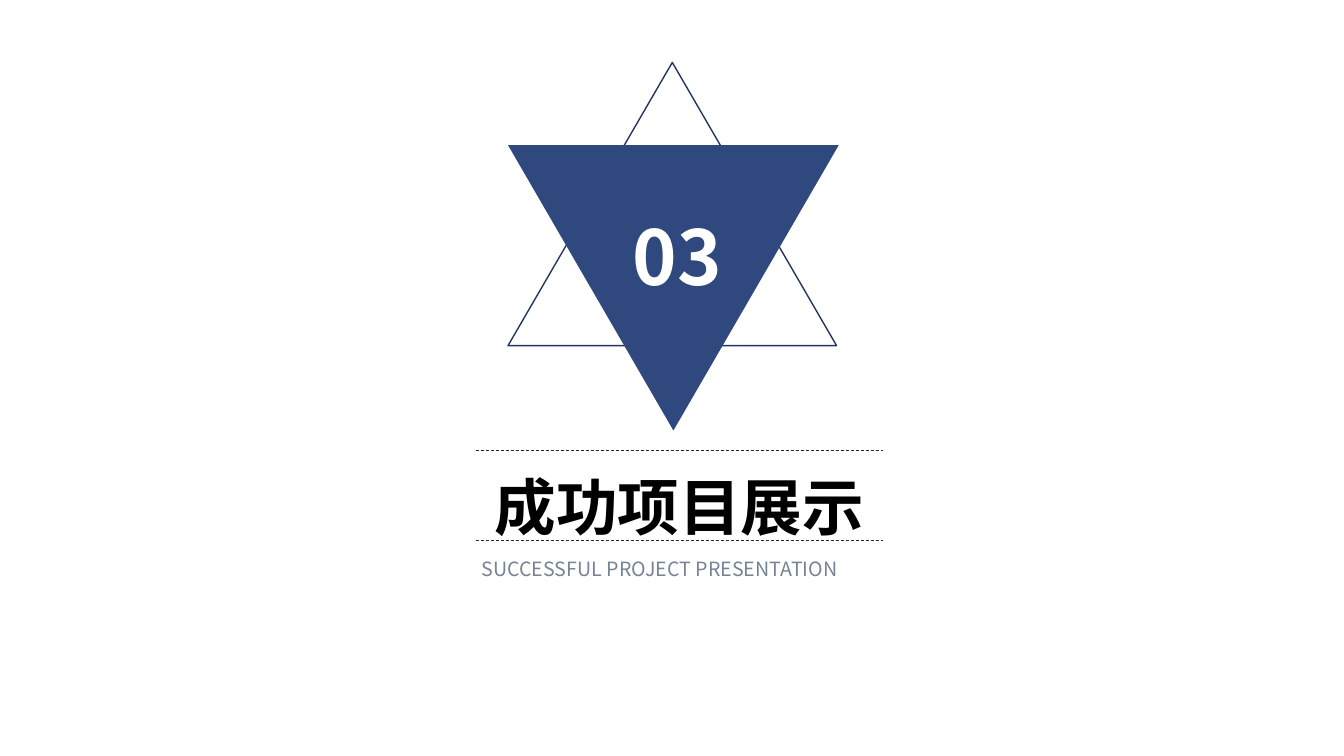
from lxml.etree import SubElement
from pptx import Presentation
from pptx.dml.color import RGBColor
from pptx.enum.dml import MSO_LINE
from pptx.enum.shapes import MSO_CONNECTOR, MSO_SHAPE
from pptx.enum.text import MSO_ANCHOR as Anchor, PP_ALIGN as Align
from pptx.oxml.ns import qn
from pptx.util import Pt


def color(hex_string):
    return RGBColor.from_string(hex_string)


class SectionSlide:
    font = "Noto Sans CJK SC"
    navy = "2F497E"
    outline = "23365D"
    rule = "262626"

    def __init__(self, slide):
        self.slide = slide

    def dashed_rule(self, left, right, y):
        connector = self.slide.shapes.add_connector(
            MSO_CONNECTOR.STRAIGHT, Pt(left), Pt(y), Pt(right), Pt(y))
        connector.line.color.rgb = color(self.rule)
        connector.line.width = Pt(0.5)
        connector.line.dash_style = MSO_LINE.DASH
        SubElement(connector.element.spPr, qn("a:effectLst"))

    def triangle(self, left, top, width, height, fill=None, line=None, rotation=0):
        shape = self.slide.shapes.add_shape(
            MSO_SHAPE.ISOSCELES_TRIANGLE, Pt(left), Pt(top), Pt(width), Pt(height))
        shape.shadow.inherit = False
        shape.rotation = rotation
        if fill:
            shape.fill.solid()
            shape.fill.fore_color.rgb = color(fill)
        else:
            shape.fill.background()
        if line:
            shape.line.color.rgb = color(line)
            shape.line.width = Pt(1)
        else:
            shape.line.fill.background()

    def text(self, content, left, top, width, height, *, size, fill, bold=False,
             align=Align.LEFT, anchor=Anchor.TOP, spacing=1.0):
        box = self.slide.shapes.add_textbox(Pt(left), Pt(top), Pt(width), Pt(height))
        frame = box.text_frame
        frame.word_wrap = True
        frame.vertical_anchor = anchor
        paragraph = frame.paragraphs[0]
        paragraph.alignment = align
        paragraph.line_spacing = spacing
        run = paragraph.add_run()
        run.text = content
        run.font.size = Pt(size)
        run.font.bold = bold
        run.font.color.rgb = color(fill)
        run.font.name = self.font
        # East Asian characters take their typeface from a:ea.
        SubElement(run.font._element, qn("a:ea"), typeface=self.font)


def main():
    presentation = Presentation()
    presentation.slide_width = Pt(960)
    presentation.slide_height = Pt(540)
    section = SectionSlide(presentation.slides.add_slide(presentation.slide_layouts[6]))

    for y in (321.8, 385.9):
        section.dashed_rule(339.8, 630.7, y)
    section.text("成功项目展示", 337, 318.2, 296.6, 67.7, size=44, fill="000000",
                 bold=True, align=Align.CENTER, spacing=1.25)

    section.triangle(362.9, 44.6, 234.7, 202.3, line=section.outline)
    section.triangle(362.9, 103.7, 236.2, 203.8, fill=section.navy, rotation=180)
    section.text("03", 445, 146.2, 137.5, 72.7, size=54, fill="FFFFFF", bold=True)

    section.text("SUCCESSFUL PROJECT PRESENTATION", 337, 385.9, 290.9, 40.3, size=14,
                 fill="768395", align=Align.JUSTIFY, anchor=Anchor.MIDDLE)

    presentation.save("out.pptx")


if __name__ == "__main__":
    main()
